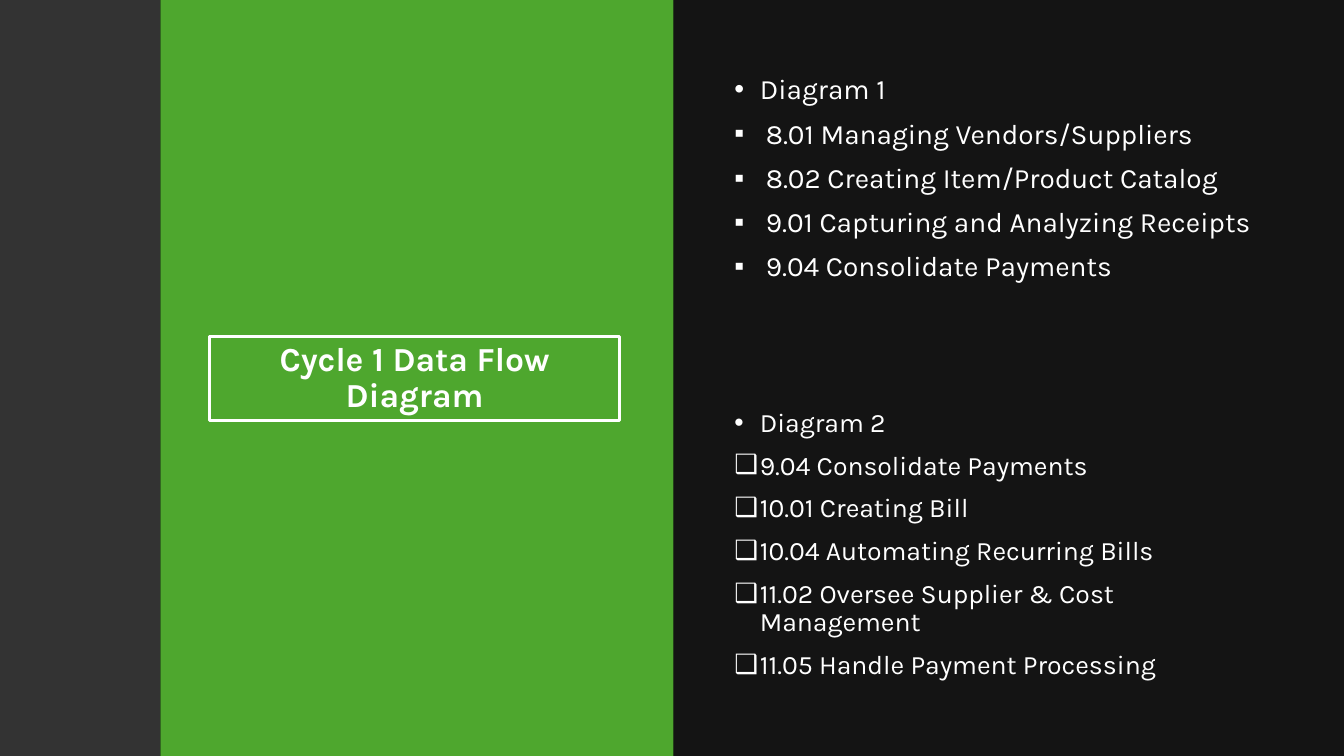
from pptx import Presentation
from pptx.dml.color import RGBColor
from pptx.enum.shapes import MSO_SHAPE as Shape
from pptx.enum.text import MSO_ANCHOR as Anchor, PP_ALIGN as Align
from pptx.oxml.ns import qn
from pptx.util import Cm, Pt
from lxml.etree import SubElement

BLACK = RGBColor(0x00, 0x00, 0x00)
WHITE = RGBColor(0xFF, 0xFF, 0xFF)
GREEN = RGBColor(0x4E, 0xA7, 0x2E)
GREY = RGBColor(0x40, 0x40, 0x40)

WIDTH, HEIGHT = 33.87, 19.05
STRIP_WIDTH = 4.04
MIDDLE = 16.97
FONT = "Karla"

DIAGRAM_1 = [
    "8.01 Managing Vendors/Suppliers",
    "8.02 Creating Item/Product Catalog",
    "9.01 Capturing and Analyzing Receipts",
    "9.04 Consolidate Payments",
]
DIAGRAM_2 = [
    "9.04 Consolidate Payments",
    "10.01 Creating Bill",
    "10.04 Automating Recurring Bills",
    "11.02 Oversee Supplier & Cost Management",
    "11.05 Handle Payment Processing",
]


def set_attributes(target, values):
    for key, value in values.items():
        setattr(target, key, value)


def style_font(font, size, bold=False):
    set_attributes(font, {"name": FONT, "size": Pt(size), "bold": bold})
    font.color.rgb = WHITE


def add_panel(slide, box, color, opacity=100):
    """Add a borderless rectangle; opacity is in percent."""
    panel = slide.shapes.add_shape(Shape.RECTANGLE, *map(Cm, box))
    panel.shadow.inherit = False
    panel.fill.solid()
    panel.fill.fore_color.rgb = color
    panel.line.fill.background()
    if opacity < 100:
        color_node = panel.fill._xPr.find(qn("a:solidFill"))[0]
        SubElement(color_node, qn("a:alpha"), val=str(opacity * 1000))


def add_title_panel(slide, box, title):
    """Add the green panel with its framed title."""
    left, top, width, height = box
    add_panel(slide, box, GREEN)
    frame = slide.shapes.add_textbox(
        Cm(left + 1.24), Cm(top + 8.48), Cm(width - 2.59), Cm(2.11))
    frame.line.color.rgb = WHITE
    frame.line.width = Pt(2)
    set_attributes(frame.text_frame,
                   {"word_wrap": True, "vertical_anchor": Anchor.MIDDLE})
    heading = frame.text_frame.paragraphs[0]
    set_attributes(heading, {"text": title, "alignment": Align.CENTER,
                             "line_spacing": 0.9})
    style_font(heading.runs[0].font, 24, bold=True)


def add_bullet(paragraph, symbol, indent):
    properties = paragraph._p.get_or_add_pPr()
    properties.set("marL", str(Cm(indent)))
    properties.set("indent", str(-Cm(indent)))
    SubElement(properties, qn("a:buFont"), typeface="Arial")
    SubElement(properties, qn("a:buChar"), char=symbol)


def add_diagram_list(slide, box, heading, processes, symbol, indent, size):
    """Add a diagram heading with its processes below."""
    body = slide.shapes.add_textbox(*map(Cm, box)).text_frame
    body.word_wrap = True
    entries = [(heading, "•", 0.64)]
    entries += [(process, symbol, indent) for process in processes]
    for index, (entry, mark, hang) in enumerate(entries):
        paragraph = body.add_paragraph() if index else body.paragraphs[0]
        set_attributes(paragraph, {"text": entry, "line_spacing": 0.9,
                                   "space_before": Pt(10)})
        add_bullet(paragraph, mark, hang)
        style_font(paragraph.runs[0].font, size)


def add_content_panel(slide, box):
    """Add the dark panel with both diagram lists."""
    left, top, width, height = box
    add_panel(slide, box, WHITE, opacity=8)
    lists = [
        (1.78, "Diagram 1", DIAGRAM_1, "▪", 0.79, 20),
        (10.19, "Diagram 2", DIAGRAM_2, "❑", 0.64, 19),
    ]
    for offset, *content in lists:
        list_box = (left + 1.29, top + offset, 14.05, 7.09)
        add_diagram_list(slide, list_box, *content)


def main():
    deck = Presentation()
    set_attributes(deck, {"slide_width": Cm(WIDTH), "slide_height": Cm(HEIGHT)})
    slide = deck.slides.add_slide(deck.slide_layouts[6])
    slide.background.fill.solid()
    slide.background.fill.fore_color.rgb = BLACK
    add_content_panel(slide, (MIDDLE, 0, WIDTH - MIDDLE, HEIGHT))
    add_title_panel(slide, (STRIP_WIDTH, 0, MIDDLE - STRIP_WIDTH, HEIGHT),
                    "Cycle 1 Data Flow Diagram")
    add_panel(slide, (0, 0, STRIP_WIDTH, HEIGHT), GREY, opacity=80)
    deck.save("out.pptx")


if __name__ == "__main__":
    main()
